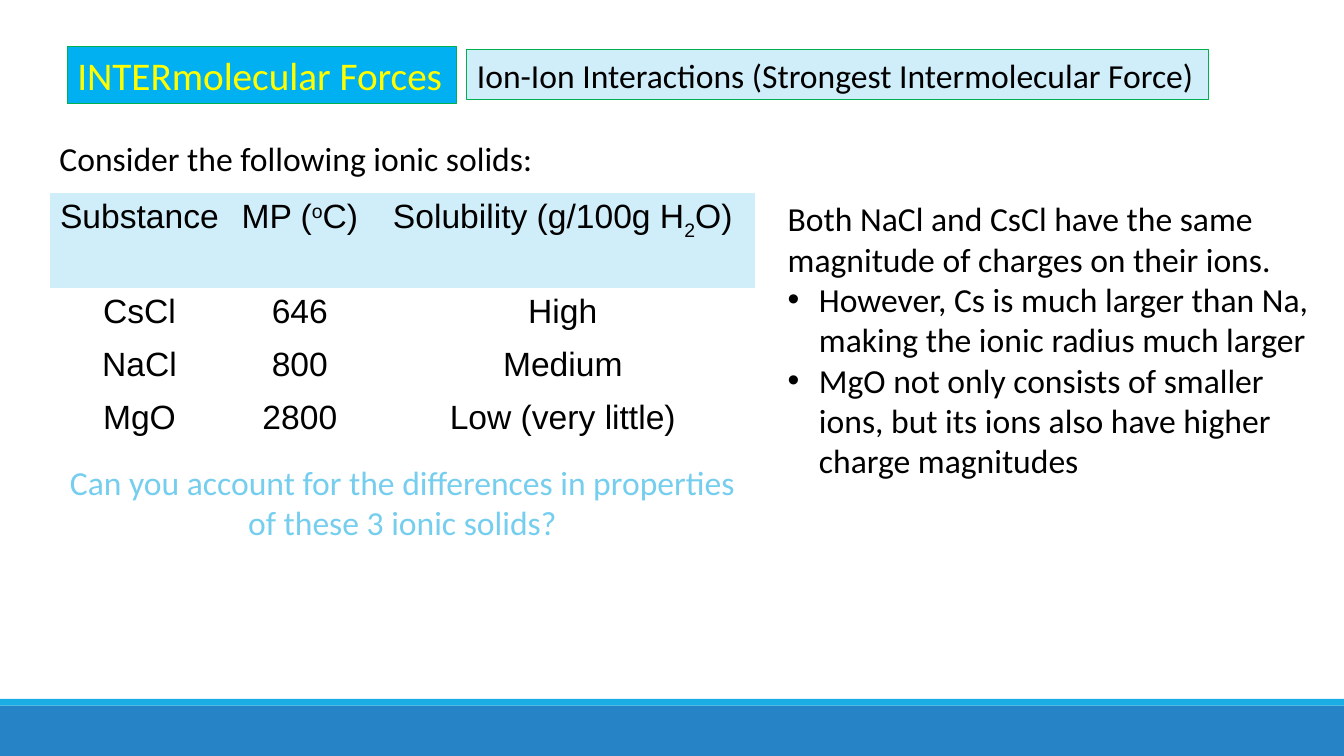
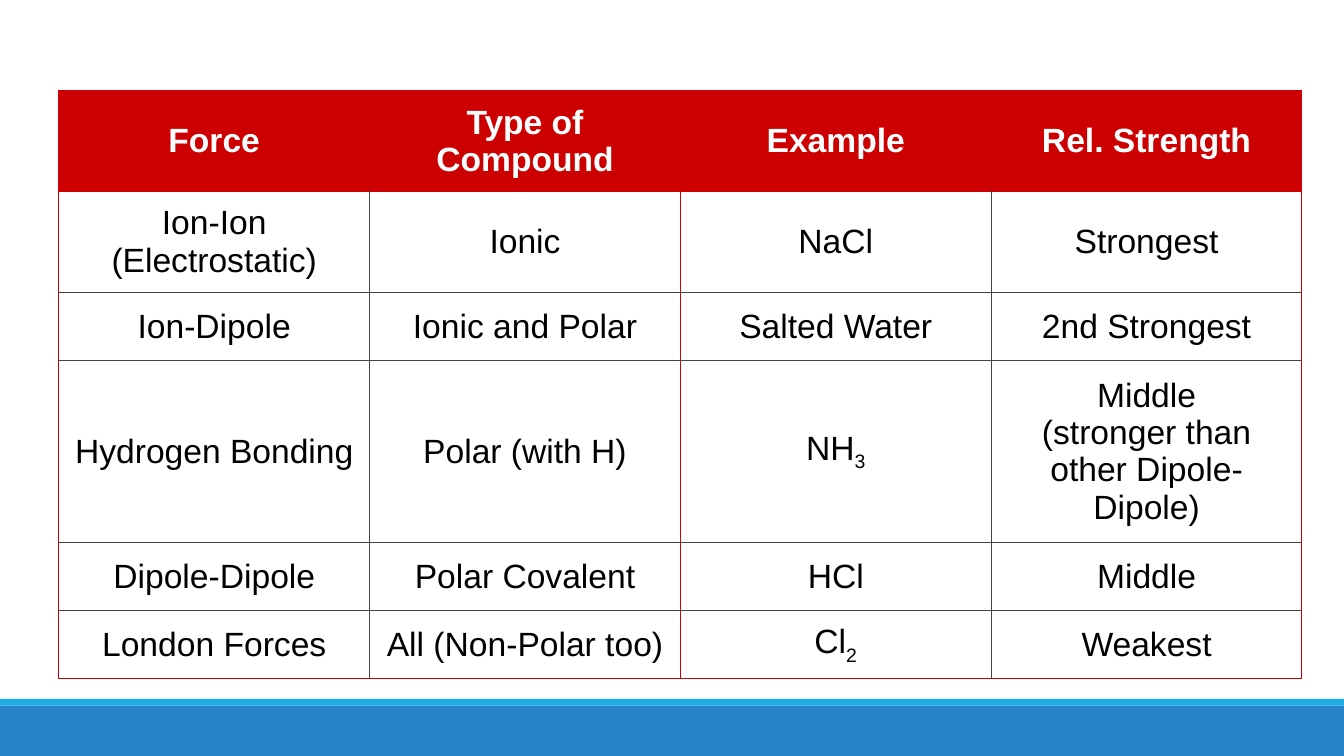
from lxml.etree import SubElement
from pptx import Presentation
from pptx.dml.color import RGBColor
from pptx.enum.shapes import MSO_SHAPE
from pptx.enum.text import MSO_ANCHOR, MSO_AUTO_SIZE, PP_ALIGN
from pptx.oxml import parse_xml
from pptx.oxml.ns import nsdecls, qn
from pptx.util import Inches, Pt

COLORS = {
    "band": "2683C6", "accent": "1CADE4", "title": "00B0F0", "pale": "D0EEF9",
    "outline": "00B050", "yellow": "FFFF00", "black": "000000", "white": "FFFFFF",
    "question": "76CEEF", "red": "CC0000", "rule": "434343",
}
WIDTH, HEIGHT = Inches(13.333), Inches(7.5)
COLUMNS, ROWS = 16, 9
NO_STYLE = "{2D5ABB26-0587-4C30-8999-92F81FD0307C}"
BASELINES = {"^": "30000", "_": "-25000"}


def color(name):
    """Return the palette colour called name."""
    return RGBColor.from_string(COLORS[name])


def across(columns):
    """Turn grid columns into a length."""
    return round(WIDTH * columns / COLUMNS)


def down(rows):
    """Turn grid rows into a length."""
    return round(HEIGHT * rows / ROWS)


def place(box):
    """Turn a grid box (left, top, width, height) into lengths."""
    left, top, width, height = box
    return across(left), down(top), across(width), down(height)


def add_bullet(paragraph, indent=0.31):
    """Give a paragraph a round bullet with a hanging indent."""
    properties = paragraph._p.get_or_add_pPr()
    properties.set("marL", str(Inches(indent)))
    properties.set("indent", str(-Inches(indent)))
    SubElement(properties, qn("a:buFont")).set("typeface", "Arial")
    SubElement(properties, qn("a:buChar")).set("char", "•")


def write(frame, text, font="Calibri", size=24, ink="black", bold=False,
          align=PP_ALIGN.LEFT, bullets_from=None):
    """Write lines of text, with |^ and |_ opening raised and lowered parts."""
    frame.word_wrap = True
    for index, line in enumerate(text.split("\n")):
        paragraph = frame.add_paragraph() if index else frame.paragraphs[0]
        paragraph.alignment = align
        if bullets_from is not None and index >= bullets_from:
            add_bullet(paragraph)
        for part in line.split("|"):
            baseline = BASELINES.get(part[0])
            run = paragraph.add_run()
            run.text = part[1:] if baseline else part
            run.font.name, run.font.size, run.font.bold = font, Pt(size), bold
            run.font.color.rgb = color(ink)
            if baseline:
                run._r.get_or_add_rPr().set("baseline", baseline)


def add_text(slide, box, text, **style):
    """Add a wrapped text box."""
    write(slide.shapes.add_textbox(*place(box)).text_frame, text, **style)


def paint(shape, fill, outline=None):
    """Fill a shape and outline it if asked."""
    shape.fill.solid()
    shape.fill.fore_color.rgb = color(fill)
    if outline:
        shape.line.color.rgb = color(outline)
        shape.line.width = Pt(0.75)
    else:
        shape.line.fill.background()


def add_panel(slide, box, fill, outline=None):
    """Add a flat rectangle."""
    panel = slide.shapes.add_shape(MSO_SHAPE.RECTANGLE, *place(box))
    panel.shadow.inherit = False
    paint(panel, fill, outline)
    return panel


def add_master_bands(deck, slide):
    """Put the two bottom bands on the master that all slides share."""
    bands = (((0, 8.4, 16, 0.6), "band"), ((0, 8.32, 16, 0.08), "accent"))
    for position, (box, fill) in enumerate(bands, start=2):
        band = add_panel(slide, box, fill)
        deck.slide_master.shapes._spTree.insert(position, band._element)


def add_heading(slide, box, title, subtitle):
    """Place the title box and, to its right, the subtitle box."""
    left, top, width, height = box
    heading = slide.shapes.title
    heading.left, heading.top, heading.width, heading.height = place(
        (left, top, 4.63, height))
    paint(heading, "title", "outline")
    heading.text_frame.auto_size = MSO_AUTO_SIZE.NONE
    heading.text_frame.vertical_anchor = MSO_ANCHOR.MIDDLE
    write(heading.text_frame, title, size=28, ink="yellow")
    subtitle_box = (left + 4.76, top + 0.04, width - 4.76, height - 0.08)
    write(add_panel(slide, subtitle_box, "pale", "outline").text_frame, subtitle)


def add_borders(cell, edges):
    """Draw the four edges of a cell in the colours given."""
    properties = cell._tc.get_or_add_tcPr()
    for position, (side, ink) in enumerate(edges.items()):
        properties.insert(position, parse_xml(
            f'<a:ln{side} {nsdecls("a")} w="{Pt(0.75)}"><a:solidFill>'
            f'<a:srgbClr val="{COLORS[ink]}"/></a:solidFill></a:ln{side}>'))


def add_grid(slide, corner, widths, heights, rows, head_fill, head_style,
             anchor=MSO_ANCHOR.TOP, margin=0.05):
    """Add a plain table with a filled header row and return it."""
    box = (*corner, sum(widths), sum(heights))
    grid = slide.shapes.add_table(len(rows), len(widths), *place(box)).table
    grid._tbl.tblPr.find(qn("a:tableStyleId")).text = NO_STYLE
    grid.first_row = grid.horz_banding = False
    for column, width in zip(grid.columns, widths):
        column.width = across(width)
    for r, (texts, height) in enumerate(zip(rows, heights)):
        grid.rows[r].height = down(height)
        for c, text in enumerate(texts):
            cell = grid.cell(r, c)
            cell.vertical_anchor = anchor
            cell.margin_top = cell.margin_bottom = Inches(margin)
            if r:
                cell.fill.background()
            else:
                cell.fill.solid()
                cell.fill.fore_color.rgb = color(head_fill)
            write(cell.text_frame, text, font="Arial", align=PP_ALIGN.CENTER,
                  **({} if r else head_style))
    return grid


def add_solids(slide, box):
    """Place the ionic solids: lead-in, table and question."""
    left, top, width, height = box
    add_text(slide, (left, top, width, 0.6), "Consider the following ionic solids:")
    add_grid(slide, (left, top + 0.72), (2.14, 1.68, 4.58), (1.13, 0.63, 0.63, 0.63), (
        ("Substance", "MP (|^o|C)", "Solubility (g/100g H|_2|O)"),
        ("CsCl", "646", "High"),
        ("NaCl", "800", "Medium"),
        ("MgO", "2800", "Low (very little)"),
    ), "pale", {})
    add_text(slide, (left, top + height - 1.1, width, 1.1),
             "Can you account for the differences in properties of these 3 ionic solids?",
             ink="question", align=PP_ALIGN.CENTER)


def add_forces(slide, box):
    """Place the table that ranks the forces, filling the box's width."""
    left, top, width, _ = box
    rows = (
        ("Force", "Type of Compound", "Example", "Rel. Strength"),
        ("Ion-Ion (Electrostatic)", "Ionic", "NaCl", "Strongest"),
        ("Ion-Dipole", "Ionic and Polar", "Salted Water", "2nd Strongest"),
        ("Hydrogen Bonding", "Polar (with H)", "NH|_3",
         "Middle\n(stronger than other Dipole-Dipole)"),
        ("Dipole-Dipole", "Polar Covalent", "HCl", "Middle"),
        ("London Forces", "All (Non-Polar too)", "Cl|_2", "Weakest"),
    )
    grid = add_grid(slide, (left, top), [width / 4] * 4,
                    (1.19, 1.19, 0.81, 2.17, 0.81, 0.81), rows, "red",
                    {"ink": "white", "bold": True}, MSO_ANCHOR.MIDDLE, 0.1)
    across_inks = ["red", "red"] + ["rule"] * (len(rows) - 2) + ["red"]
    down_inks = ["red", "rule", "red", "rule", "red"]
    for r in range(len(rows)):
        for c in range(4):
            add_borders(grid.cell(r, c), {
                "L": down_inks[c] if r else "red",
                "R": down_inks[c + 1] if r else "red",
                "T": across_inks[r], "B": across_inks[r + 1]})


def build_solids_slide(deck):
    """Build the slide on ion-ion interactions."""
    slide = deck.slides.add_slide(deck.slide_layouts.get_by_name("Title Only"))
    add_master_bands(deck, slide)
    add_heading(slide, (0.8, 0.55, 13.59, 0.68), "INTERmolecular Forces",
                "Ion-Ion Interactions (Strongest Intermolecular Force)")
    add_solids(slide, (0.59, 1.58, 8.4, 4.96))
    add_text(slide, (9.26, 2.3, 6.5, 3.52),
             "Both NaCl and CsCl have the same magnitude of charges on their ions.\n"
             "However, Cs is much larger than Na, making the ionic radius much larger\n"
             "MgO not only consists of smaller ions, but its ions also have higher "
             "charge magnitudes", bullets_from=1)


def build_forces_slide(deck):
    """Build the slide that compares the forces."""
    slide = deck.slides.add_slide(deck.slide_layouts.get_by_name("Blank"))
    add_forces(slide, (0.7, 1.08, 14.8, 6.98))


def main():
    """Build and save the deck."""
    deck = Presentation()
    deck.slide_width, deck.slide_height = WIDTH, HEIGHT
    build_solids_slide(deck)
    build_forces_slide(deck)
    deck.save("out.pptx")


if __name__ == "__main__":
    main()
